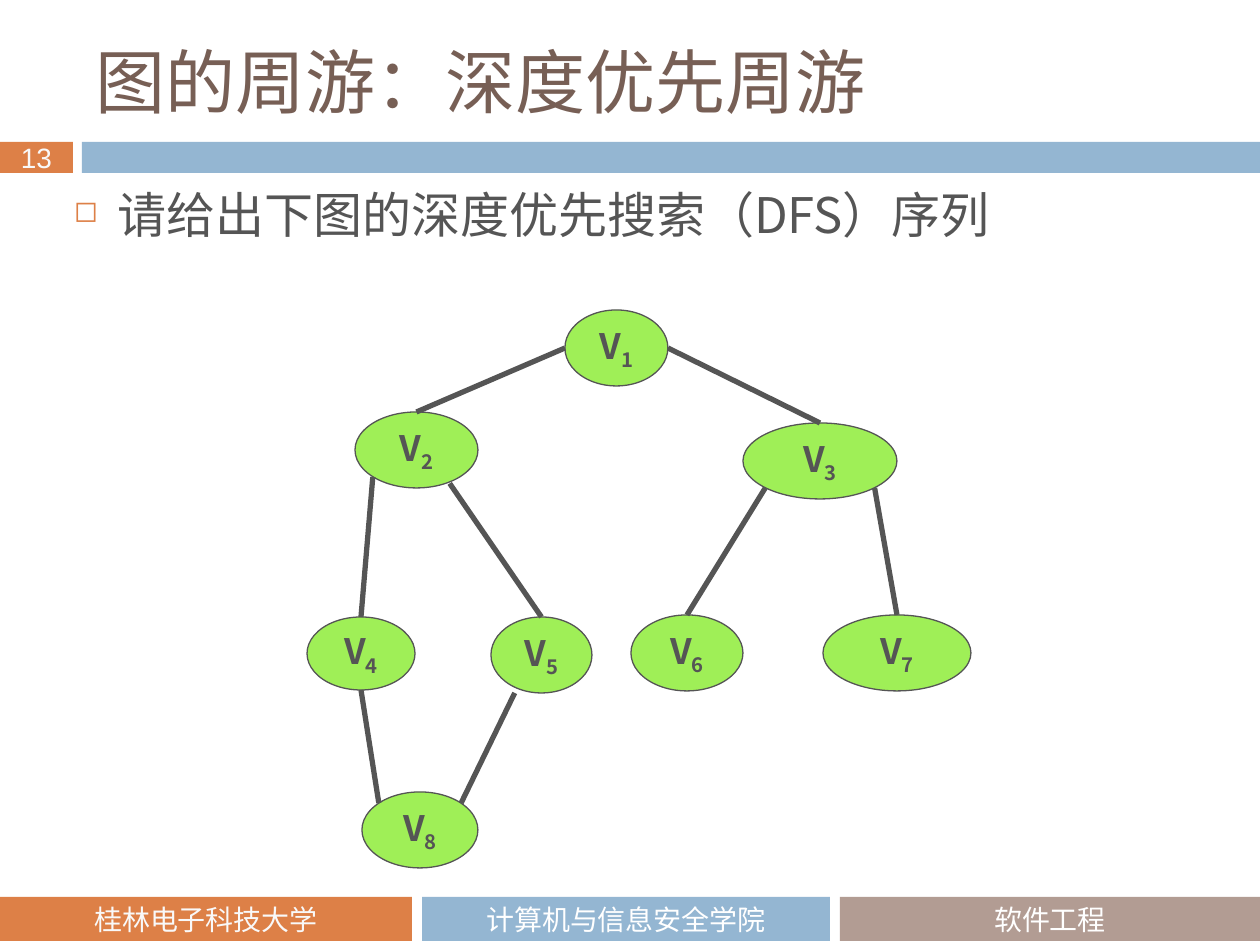
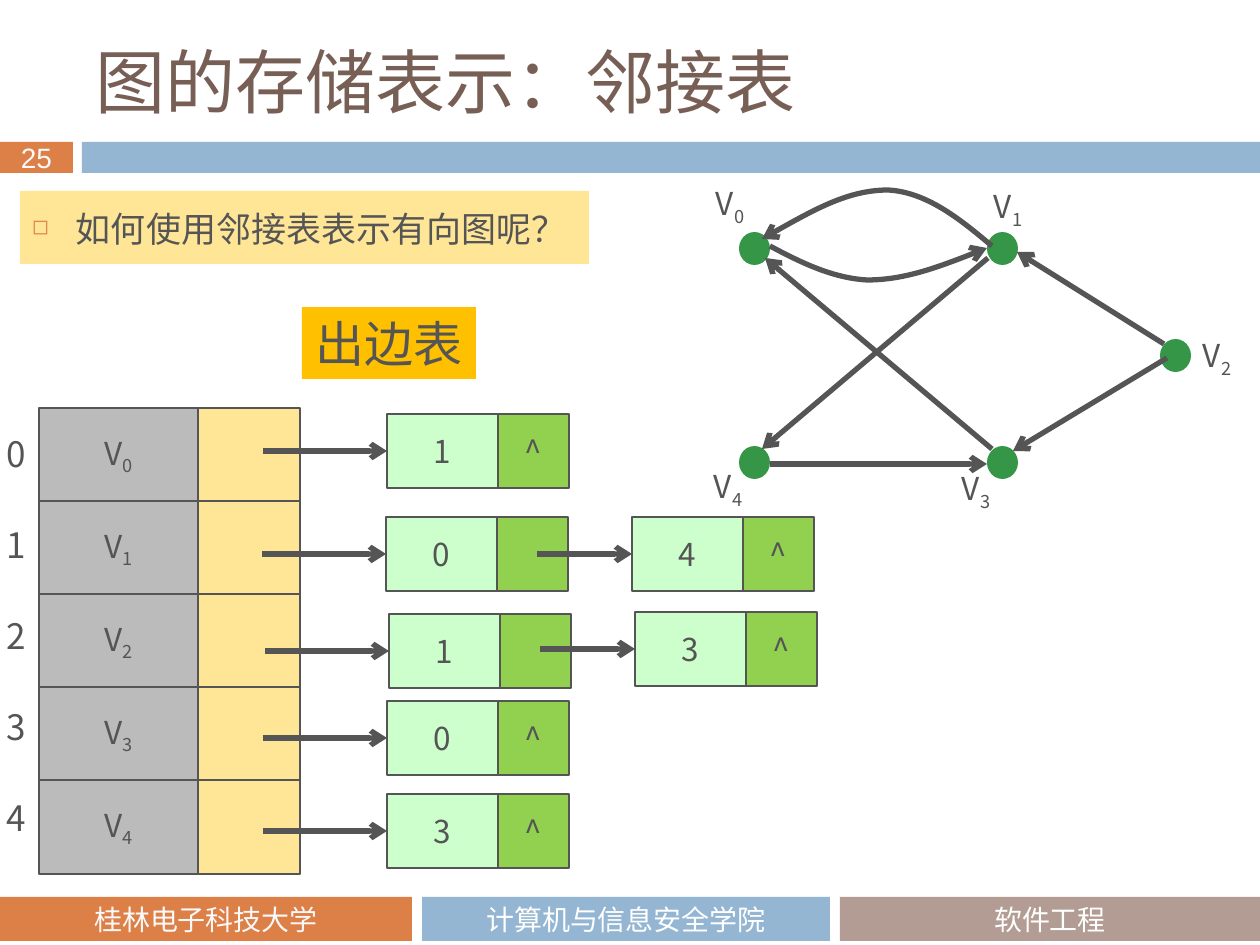
from lxml.etree import SubElement
from pptx import Presentation
from pptx.dml.color import RGBColor as RGB
from pptx.enum.shapes import MSO_CONNECTOR as LINE, MSO_SHAPE as SHAPE
from pptx.enum.text import MSO_ANCHOR as ANCHOR, PP_ALIGN as ALIGN
from pptx.oxml.ns import qn
from pptx.util import Pt

PX = 914400 // 126
SANS = "Noto Sans CJK SC"
TITLE_FONT = "Noto Sans CJK JP"

WHITE = RGB(0xFF, 0xFF, 0xFF)
PALE = RGB(0xF9, 0xF9, 0xF9)
INK = RGB(0x55, 0x55, 0x55)
BROWN = RGB(0x77, 0x5F, 0x55)
ORANGE = RGB(0xDD, 0x80, 0x47)
BLUE = RGB(0x94, 0xB6, 0xD2)
TAUPE = RGB(0xB2, 0x9C, 0x93)
LIME = RGB(0x9F, 0xEF, 0x57)
GREEN = RGB(0x36, 0x96, 0x48)
GRAY = RGB(0xBB, 0xBB, 0xBB)
CREAM = RGB(0xFF, 0xE6, 0x97)
MINT = RGB(0xCC, 0xFF, 0xCC)
LEAF = RGB(0x92, 0xD0, 0x50)
GOLD = RGB(0xFF, 0xC0, 0x00)

FOOTERS = [
    (0, 412, ORANGE, "桂林电子科技大学", PALE),
    (422, 408, BLUE, "计算机与信息安全学院", WHITE),
    (840, 420, TAUPE, "软件工程", WHITE),
]

# Tree nodes: left, top, width, height
TREE = {
    1: (565, 310, 103, 76),
    2: (355, 412, 123, 76),
    3: (743, 423, 154, 76),
    4: (307, 617, 108, 73),
    5: (491, 617, 101, 76),
    6: (631, 615, 112, 76),
    7: (823, 615, 148, 76),
    8: (362, 792, 116, 76),
}

# Places on a node, in half widths and half heights from its centre
TOP, LEFT, BASE, RIGHT = (0, -1), (-1, 0), (0, 1), (1, 0)
DIAG = 0.71
EDGES = [
    (1, LEFT, 2, TOP),
    (1, RIGHT, 3, TOP),
    (2, (-DIAG, DIAG), 4, TOP),
    (2, (0.54, 0.88), 5, TOP),
    (3, (-DIAG, DIAG), 6, TOP),
    (3, (DIAG, DIAG), 7, TOP),
    (4, BASE, 8, (-DIAG, -DIAG)),
    (5, (-0.53, 1), 8, (DIAG, -DIAG)),
]

# Graph vertices: dot left, dot top, label left, label top
GRAPH = [
    (739, 232, 704, 181),
    (987, 232, 982, 184),
    (1160, 339, 1191, 333),
    (987, 446, 950, 466),
    (739, 446, 702, 464),
]
ARROWS = [
    (770, 464, 987, 464),
    (1164, 344, 1017, 252),
    (1167, 358, 1013, 451),
    (992, 449, 765, 258),
    (988, 258, 762, 449),
]
CURVES = [
    [(770, 246), (800, 262), (832, 278), (867, 280),
     (903, 280), (945, 265), (987, 248)],
    [(992, 246), (959, 218), (926, 192), (888, 190),
     (849, 190), (806, 214), (762, 239)],
]

# One chain per vertex: left, top, target vertex
CHAINS = [
    [(387, 414, "1")],
    [(386, 517, "0"), (632, 517, "4")],
    [(389, 614, "1"), (635, 612, "3")],
    [(387, 701, "0")],
    [(387, 794, "3")],
]


def emu(*vals):
    return [round(v * PX) for v in vals]


def style(para, size, color=INK, name=SANS, bold=False):
    font = para.font
    font.size = Pt(size)
    font.bold = bold
    font.color.rgb = color
    font.name = name
    SubElement(font._element, qn("a:ea"), typeface=name)


def fit(shape, anchor=ANCHOR.MIDDLE, pad=0):
    frame = shape.text_frame
    frame.word_wrap = True
    frame.vertical_anchor = anchor
    frame.margin_left, frame.margin_right = emu(pad, 0)
    frame.margin_top = frame.margin_bottom = 6 * PX
    return frame


def write(shape, text, size, align=ALIGN.CENTER, pad=0, **look):
    """Write one line; whatever follows "_" is a subscript."""
    para = fit(shape, pad=pad).paragraphs[0]
    para.alignment = align
    style(para, size, **look)
    main, _, sub = text.partition("_")
    para.add_run().text = main
    if sub:
        run = para.add_run()
        run.text = sub
        run._r.get_or_add_rPr().set("baseline", "-25000")


def block(slide, box, fill, kind=SHAPE.RECTANGLE, edge=False):
    shape = slide.shapes.add_shape(kind, *emu(*box))
    shape.shadow.inherit = False
    shape.fill.solid()
    shape.fill.fore_color.rgb = fill
    if edge:
        shape.line.color.rgb = INK
        shape.line.width = Pt(0.75)
    else:
        shape.line.fill.background()
    return shape


def label(slide, box, text, size):
    write(slide.shapes.add_textbox(*emu(*box)), text, size, ALIGN.LEFT, 12)


def stroke(shape, arrow):
    shape.line.color.rgb = INK
    shape.line.width = Pt(3)
    if arrow:
        SubElement(shape.line._get_or_add_ln(), qn("a:tailEnd"), type="arrow")


def line(slide, ends, arrow=False):
    link = slide.shapes.add_connector(LINE.STRAIGHT, *emu(*ends))
    stroke(link, arrow)
    SubElement(link._element.spPr, qn("a:effectLst"))
    return link


def curve(slide, points):
    """Draw an arrow along cubic Bezier pieces, three points to a piece."""
    start, *rest = points
    form = slide.shapes.build_freeform(*start, scale=PX)
    form.add_line_segments(rest, close=False)
    shape = form.convert_to_shape()
    shape.shadow.inherit = False
    shape.fill.background()
    stroke(shape, True)
    segs = list(shape._element.iter(qn("a:lnTo")))
    trace = segs[0].getparent()
    for i in range(0, len(segs), 3):
        bend = SubElement(trace, qn("a:cubicBezTo"))
        for seg in segs[i:i + 3]:
            bend.append(seg[0])
            trace.remove(seg)


def bullet(shape, text, size):
    para = fit(shape, ANCHOR.TOP, 12).paragraphs[0]
    para.alignment = ALIGN.LEFT
    para.line_spacing = Pt(30)
    props = para._p.get_or_add_pPr()
    props.set("marL", str(44 * PX))
    props.set("indent", str(-44 * PX))
    tint = SubElement(props, qn("a:buClr"))
    SubElement(tint, qn("a:srgbClr"), val=str(ORANGE))
    SubElement(props, qn("a:buSzPct"), val="60000")
    SubElement(props, qn("a:buChar"), char="◻")
    style(para, size)
    para.add_run().text = text


def page(deck, title, number):
    """Add a slide with the shared title, bands and footers."""
    slide = deck.slides.add_slide(deck.slide_layouts[5])
    head = slide.shapes.title
    head.left, head.top, head.width, head.height = emu(84, 32, 1124, 98)
    write(head, title, 40, ALIGN.LEFT, 12, color=BROWN, name=TITLE_FONT)
    badge = block(slide, (0, 142, 73, 31), ORANGE)
    write(badge, number, 16, color=PALE, name="Arial")
    block(slide, (82, 142, 1178, 31), BLUE)
    for x, w, fill, text, color in FOOTERS:
        band = block(slide, (x, 897, w, 44), fill)
        write(band, text, 16, color=color, name="Calibri")
    return slide


def spot(key, place):
    x, y, w, h = TREE[key]
    return x + w / 2 * (1 + place[0]), y + h / 2 * (1 + place[1])


def tree(slide):
    for key, box in TREE.items():
        node = block(slide, box, LIME, SHAPE.OVAL, edge=True)
        write(node, f"V_{key}", 20, bold=True)
    for a, start, b, end in EDGES:
        line(slide, spot(a, start) + spot(b, end))


def graph(slide):
    for i, (x, y, left, top) in enumerate(GRAPH):
        block(slide, (x, y, 31, 33), GREEN, SHAPE.OVAL)
        label(slide, (left, top, 60, 50), f"V_{i}", 18)
    for ends in ARROWS:
        line(slide, ends, arrow=True)
    for points in CURVES:
        curve(slide, points)


def index(slide):
    """Number the rows of the adjacency list."""
    box = slide.shapes.add_textbox(*emu(0, 423, 33, 426))
    frame = fit(box, ANCHOR.TOP)
    for i in range(len(CHAINS)):
        para = frame.add_paragraph() if i else frame.paragraphs[0]
        para.alignment = ALIGN.CENTER
        para.line_spacing = Pt(26)
        if i:
            para.space_before = Pt(26)
        style(para, 20)
        para.add_run().text = str(i)


def chain(slide, cells):
    reach = 124
    for x, y, value in cells:
        node = block(slide, (x, y, 111, 74), MINT, edge=True)
        write(node, value, 18)
        rest = block(slide, (x + 111, y, 71, 74), LEAF, edge=True)
        mid = y + 37
        link = line(slide, (x - reach, mid, x, mid), arrow=True)
        link.end_connect(node, 1)
        reach = 95
    write(rest, "^", 18)


def lists(slide):
    for i, cells in enumerate(CHAINS):
        y = 408 + 93 * i
        name = block(slide, (39, y, 159, 94), GRAY, edge=True)
        write(name, f"V_{i}", 18)
        block(slide, (198, y, 102, 94), CREAM, edge=True)
        chain(slide, cells)
    index(slide)


def main():
    deck = Presentation()
    deck.slide_width, deck.slide_height = emu(1260, 945)

    slide = page(deck, "图的周游：深度优先周游", "13")
    body = slide.shapes.add_textbox(*emu(62, 185, 1124, 83))
    bullet(body, "请给出下图的深度优先搜索（DFS）序列", 28)
    tree(slide)

    slide = page(deck, "图的存储表示：邻接表", "25")
    ask = block(slide, (20, 191, 569, 73), CREAM)
    bullet(ask, "如何使用邻接表表示有向图呢？", 20)
    graph(slide)
    lists(slide)
    write(block(slide, (302, 307, 174, 72), GOLD), "出边表", 28)

    deck.save("out.pptx")


if __name__ == "__main__":
    main()
